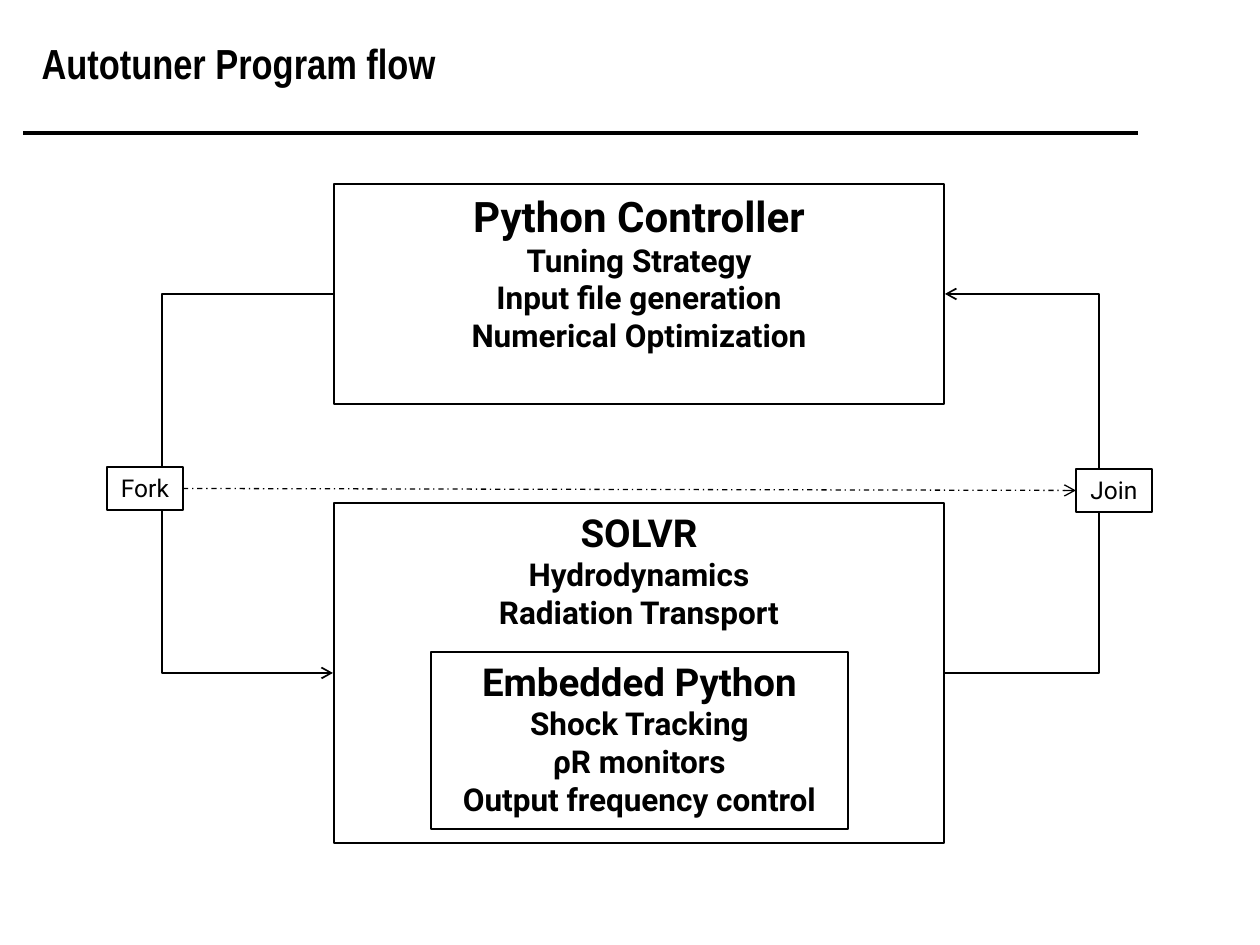
import pptx
import pptx.util
from pptx.dml.color import RGBColor
from pptx.enum.dml import MSO_LINE
from pptx.enum.shapes import MSO_CONNECTOR, MSO_SHAPE
from pptx.enum.text import MSO_ANCHOR, PP_ALIGN
from pptx.oxml.ns import qn
from lxml import etree

BLACK = RGBColor(0, 0, 0)
WHITE = RGBColor(255, 255, 255)
BODY_FONT = "Roboto"
TITLE_FONT = "Arial Narrow"


def px(n):
    return pptx.util.Emu(round(n * 914400 / 126))


def set_font(p, name, size, bold):
    p.font.name = name
    p.font.size = pptx.util.Pt(size)
    p.font.bold = bold
    p.font.color.rgb = BLACK


def add_title(s, text):
    sp = s.shapes.title
    sp.left, sp.top, sp.width, sp.height = px(29), px(2), px(1071), px(121)
    tf = sp.text_frame
    tf.text = text
    tf.vertical_anchor = MSO_ANCHOR.MIDDLE
    p = tf.paragraphs[0]
    p.alignment = PP_ALIGN.LEFT
    set_font(p, TITLE_FONT, 24, True)


def add_box(s, x, y, w, h, lines, sizes, bold=True, weight=1, fill=None):
    """Outlined box; sizes gives the heading size, then the size of the rest."""
    sp = s.shapes.add_shape(MSO_SHAPE.RECTANGLE, px(x), px(y), px(w), px(h))
    sp.shadow.inherit = False
    if fill is None:
        sp.fill.background()
    else:
        sp.fill.solid()
        sp.fill.fore_color.rgb = fill
    sp.line.color.rgb = BLACK
    sp.line.width = pptx.util.Pt(weight)
    tf = sp.text_frame
    tf.word_wrap = bold
    tf.vertical_anchor = MSO_ANCHOR.TOP
    tf.text = "\n".join(lines)
    for i, p in enumerate(tf.paragraphs):
        p.alignment = PP_ALIGN.CENTER
        set_font(p, BODY_FONT, sizes[min(i, 1)], bold)
    return sp


def add_label(s, x, y, text):
    return add_box(s, x, y, 76, 43, [text], (14, 14), False, 0.75, WHITE)


def add_line(s, start, end, weight, kind=MSO_CONNECTOR.STRAIGHT, arrow=True):
    c = s.shapes.add_connector(kind, *map(px, start + end))
    c.line.color.rgb = BLACK
    c.line.width = pptx.util.Pt(weight)
    if arrow:
        etree.SubElement(c.line._get_or_add_ln(), qn("a:tailEnd"), type="arrow")
    etree.SubElement(c._element.spPr, qn("a:effectLst"))
    return c


def add_loop(s, start, end, reach):
    """Elbow arrow that swings out sideways by reach px between stacked boxes."""
    c = add_line(s, start, end, 1, MSO_CONNECTOR.ELBOW)
    # The bend is a share of the connector's width, which is 1 px
    av = c._element.spPr.find(qn("a:prstGeom")).get_or_add_avLst()
    etree.SubElement(av, qn("a:gd"), name="adj1", fmla=f"val {reach * 100000}")


def main():
    prs = pptx.Presentation()
    prs.slide_width, prs.slide_height = px(1260), px(945)
    s = prs.slides.add_slide(prs.slide_layouts[5])

    # Heading and rule
    add_title(s, "Autotuner Program flow")
    add_line(s, (1138, 133), (23, 133), 2.25, arrow=False)

    # Program stages
    add_box(s, 334, 184, 610, 220,
            ["Python Controller", "Tuning Strategy", "Input file generation",
             "Numerical Optimization"], (24, 18))
    add_box(s, 334, 503, 610, 340,
            ["SOLVR", "Hydrodynamics", "Radiation Transport"], (22, 18))
    add_box(s, 431, 652, 417, 177,
            ["Embedded Python", "Shock Tracking", "ρR monitors",
             "Output frequency control"], (22, 18))

    # Loop between controller and simulation
    add_loop(s, (334, 294), (333, 673), 173)
    add_loop(s, (944, 673), (945, 294), 156)

    # Fork and join
    fork = add_label(s, 107, 467, "Fork")
    join = add_label(s, 1076, 469, "Join")
    c = add_line(s, (183, 489), (1076, 491), 0.75)
    c.line.dash_style = MSO_LINE.DASH_DOT
    c.begin_connect(fork, 3)
    c.end_connect(join, 1)

    prs.save("out.pptx")


if __name__ == "__main__":
    main()
